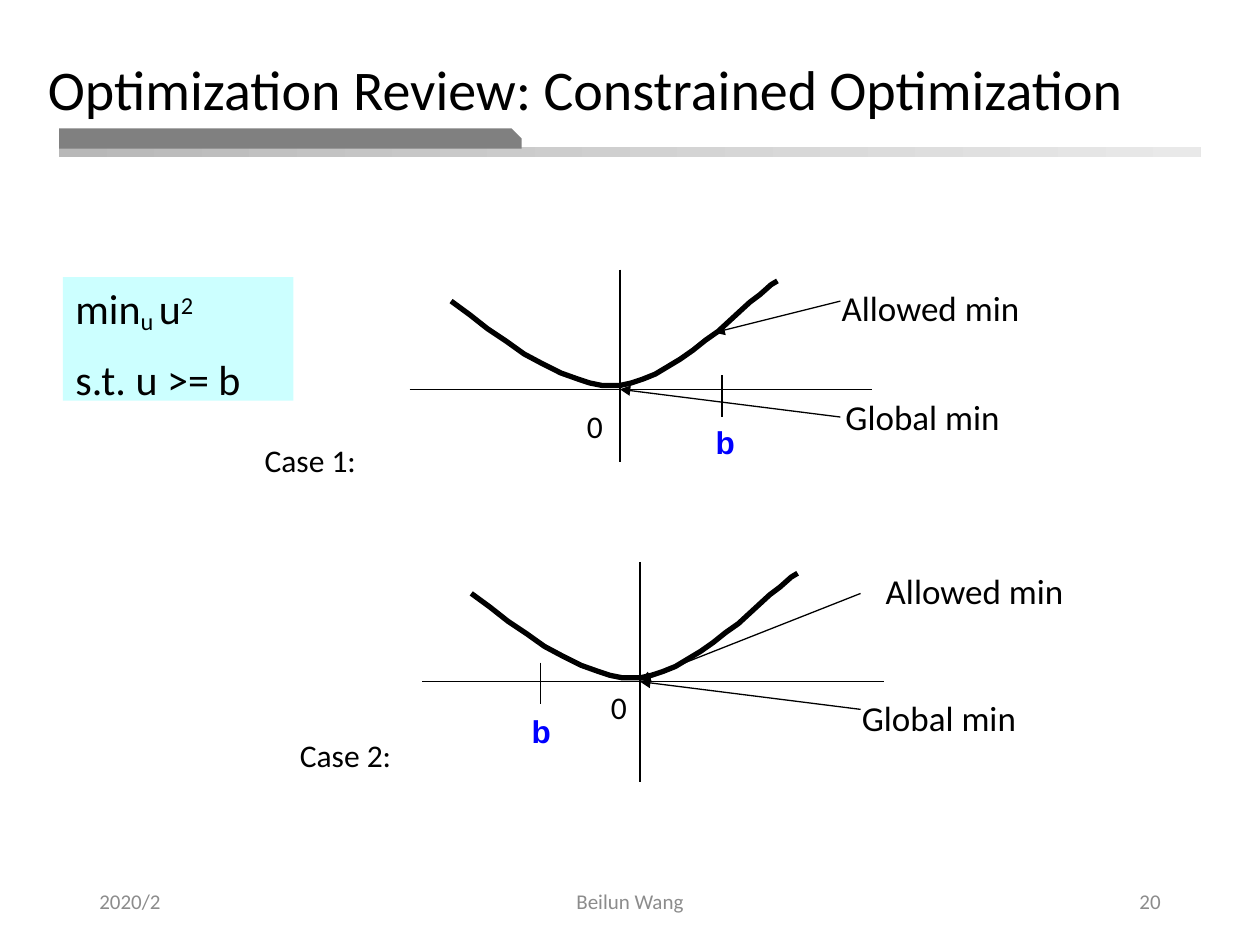
from lxml.etree import SubElement
from pptx import Presentation
from pptx.dml.color import RGBColor
from pptx.enum.shapes import MSO_CONNECTOR, MSO_SHAPE
from pptx.enum.text import MSO_ANCHOR, PP_ALIGN
from pptx.oxml.ns import qn
from pptx.util import Inches, Pt

BLACK = RGBColor(0x00, 0x00, 0x00)
BLUE = RGBColor(0x00, 0x00, 0xFF)
CYAN = RGBColor(0xCC, 0xFF, 0xFF)
GRAY = RGBColor(0x80, 0x80, 0x80)
FOOTER_GRAY = RGBColor(0x8C, 0x8C, 0x8C)
BAR_START = RGBColor(0xB8, 0xB8, 0xB8)
BAR_END = RGBColor(0xE9, 0xE9, 0xE9)

TITLE = [("Optimization Review: Constrained", 32), (" ", 28), ("Optimization", 32)]
PROBLEM = [
    (2.6, [("min", 0), ("u ", -14), ("u", 0), ("2", 23)]),
    (10.3, [("s.t. u >= b", 0)]),
]
FOOTERS = [
    ("2020/2", 0.69, 2.25, PP_ALIGN.LEFT),
    ("Beilun Wang", 3.31, 3.38, PP_ALIGN.CENTER),
    ("20", 7.06, 2.25, PP_ALIGN.RIGHT),
]
CURVE = [
    (-1.34, -0.7), (-1.19, -0.59), (-1.05, -0.48), (-0.9, -0.38), (-0.76, -0.28),
    (-0.61, -0.2), (-0.47, -0.13), (-0.33, -0.08), (-0.24, -0.05), (-0.14, -0.03),
    (-0.05, -0.03), (0, -0.03), (0.09, -0.05), (0.18, -0.08), (0.28, -0.12),
    (0.38, -0.18), (0.48, -0.24), (0.58, -0.31), (0.68, -0.39), (0.78, -0.46),
    (0.91, -0.58), (1.03, -0.69), (1.11, -0.75), (1.2, -0.83), (1.25, -0.86),
]
CASES = [
    {"name": ("Case 1:", 2.09, 3.49), "origin": (4.92, 3.09), "x_axis": (3.25, 6.92),
     "y_axis": (2.14, 3.67), "tick": (5.73, 2.98), "b": (5.67, 3.35), "zero": (4.56, 3.18),
     "allowed": (6.67, 2.26), "global": (6.7, 3.13), "allowed_point": (5.67, 2.64)},
    {"name": ("Case 2:", 2.37, 5.83), "origin": (5.08, 5.41), "x_axis": (3.35, 7.02),
     "y_axis": (4.46, 6.21), "tick": (4.29, 5.26), "b": (4.21, 5.64), "zero": (4.75, 5.41),
     "allowed": (7.02, 4.51), "global": (6.83, 5.52), "allowed_point": (5.08, 5.4)},
]

prs = Presentation()
prs.slide_width, prs.slide_height = Inches(10), Inches(7.5)
s = prs.slides.add_slide(prs.slide_layouts[5])


def add_shape(kind, x, y, w, h):
    sp = s.shapes.add_shape(kind, Inches(x), Inches(y), Inches(w), Inches(h))
    sp.shadow.inherit = False
    sp.line.fill.background()
    return sp


def add_text(text, x, y, w, h, size, color=BLACK, font="Calibri", bold=False):
    tf = s.shapes.add_textbox(Inches(x), Inches(y), Inches(w), Inches(h)).text_frame
    tf.word_wrap = True
    p = tf.paragraphs[0]
    p.text = text
    p.font.size, p.font.name, p.font.bold = Pt(size), font, bold
    p.font.color.rgb = color
    return tf


def add_label(*args, **kwargs):
    tf = add_text(*args, **kwargs)
    tf.margin_left = tf.margin_top = Inches(0.01)
    tf.margin_right = tf.margin_bottom = 0
    tf.paragraphs[0].space_before = Pt(1)


def add_line(x1, y1, x2, y2, arrow=False):
    c = s.shapes.add_connector(MSO_CONNECTOR.STRAIGHT, Inches(x1), Inches(y1),
                               Inches(x2), Inches(y2))
    c.line.color.rgb = BLACK
    c.line.width = Pt(0.75)
    if arrow:
        SubElement(c.line._get_or_add_ln(), qn("a:tailEnd"), type="triangle", w="med", len="med")
    SubElement(c._element.spPr, qn("a:effectLst"))


def add_curve(x, y):
    points = [(Inches(x + dx), Inches(y + dy)) for dx, dy in CURVE]
    builder = s.shapes.build_freeform(*points[0])
    builder.add_line_segments(points[1:], close=False)
    sp = builder.convert_to_shape()
    sp.shadow.inherit = False
    sp.fill.background()
    sp.line.color.rgb = BLACK
    sp.line.width = Pt(3)


def add_case(case):
    x, y = case["origin"]
    add_line(x + 1.75, y + 0.22, x, y, arrow=True)
    add_line(x + 1.75, y - 0.7, *case["allowed_point"], arrow=True)
    left, right = case["x_axis"]
    top, bottom = case["y_axis"]
    add_line(left, y, right, y)
    add_line(x, top, x, bottom)
    add_curve(x, y)
    tick_x, tick_y = case["tick"]
    add_line(tick_x, tick_y, tick_x, tick_y + 0.33)
    add_label("b", *case["b"], 0.18, 0.33, 18, BLUE, "Arial", True)
    add_text("0", *case["zero"], 0.33, 0.4, 18)
    add_label("Allowed min", *case["allowed"], 2.3, 0.35, 20)
    add_label("Global min", *case["global"], 1.79, 0.35, 20)
    add_label(*case["name"], 0.85, 0.33, 18)


bar = add_shape(MSO_SHAPE.RECTANGLE, 0.47, 1.17, 9.06, 0.08)
bar.fill.gradient()
bar.fill.gradient_angle = 0
for stop, color in zip(bar.fill.gradient_stops, (BAR_START, BAR_END)):
    stop.color.rgb = color
tab = add_shape(MSO_SHAPE.SNIP_1_RECTANGLE, 0.47, 1.02, 3.67, 0.16)
tab.adjustments[0] = 0.5
tab.fill.solid()
tab.fill.fore_color.rgb = GRAY

title = s.shapes.title
title.left, title.top = Inches(0.28), Inches(0.4)
title.width, title.height = Inches(8.85), Inches(0.64)
tf = title.text_frame
tf.vertical_anchor = MSO_ANCHOR.TOP
p = tf.paragraphs[0]
p.alignment = PP_ALIGN.LEFT
p.line_spacing, p.space_before = Pt(37.3), Pt(1)
p.font.name, p.font.color.rgb = "Calibri", BLACK
for text, size in TITLE:
    r = p.add_run()
    r.text, r.font.size = text, Pt(size)

box = add_shape(MSO_SHAPE.RECTANGLE, 0.5, 2.2, 1.83, 0.98)
box.fill.solid()
box.fill.fore_color.rgb = CYAN
tf = box.text_frame
tf.vertical_anchor = MSO_ANCHOR.TOP
tf.margin_left, tf.margin_top = Inches(0.1), Inches(0.04)
tf.margin_right = tf.margin_bottom = 0
for i, (space, runs) in enumerate(PROBLEM):
    p = tf.add_paragraph() if i else tf.paragraphs[0]
    p.alignment, p.space_before = PP_ALIGN.LEFT, Pt(space)
    p.font.size, p.font.name = Pt(24), "Calibri"
    p.font.color.rgb = BLACK
    for text, baseline in runs:
        r = p.add_run()
        r.text = text
        if baseline:
            r.font._element.set("baseline", str(baseline * 1000))

for case in CASES:
    add_case(case)

for text, x, w, align in FOOTERS:
    tf = add_text(text, x, 6.95, w, 0.4, 12, FOOTER_GRAY)
    tf.vertical_anchor = MSO_ANCHOR.MIDDLE
    tf.paragraphs[0].alignment = align

prs.save("out.pptx")
